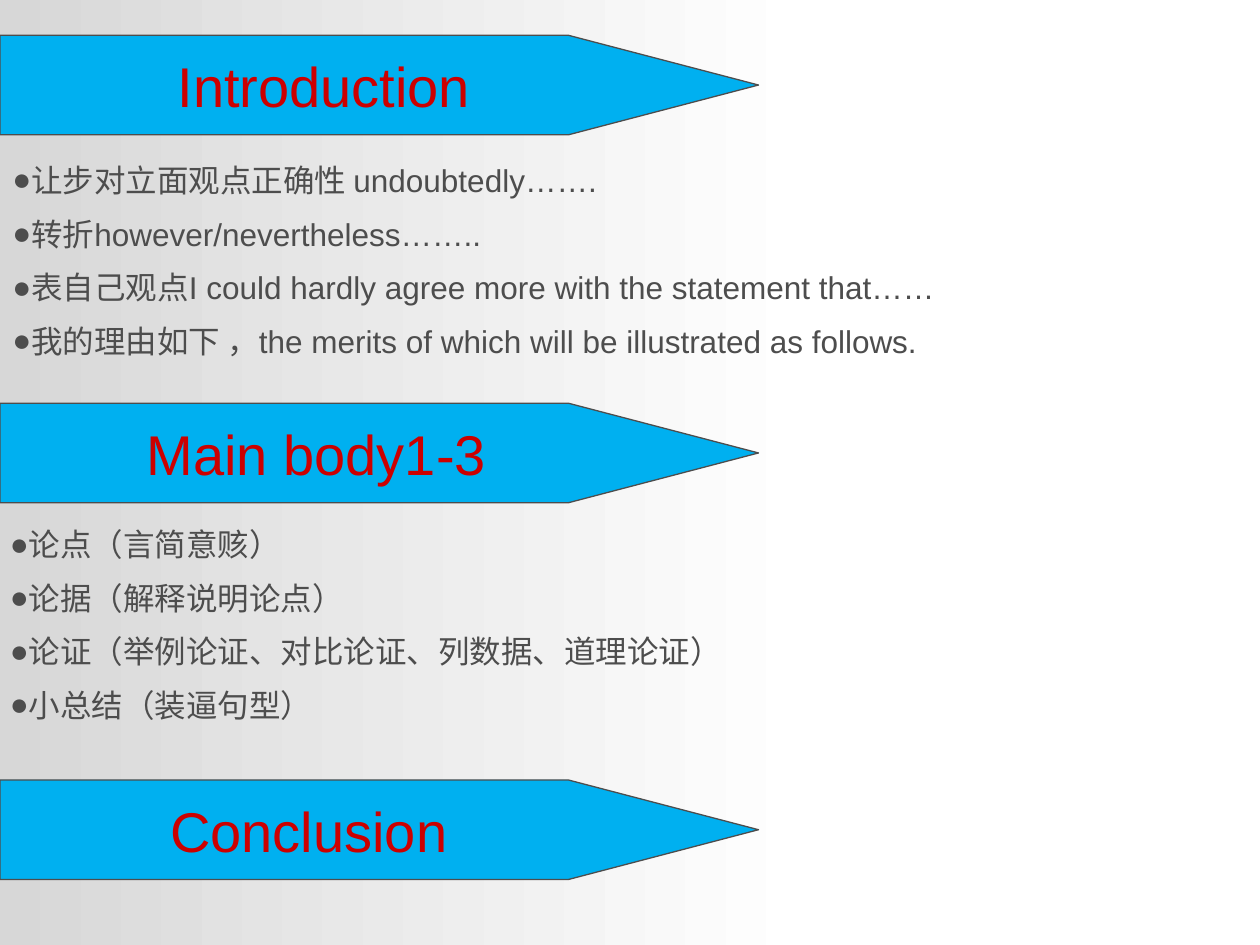
"""Build an essay outline slide with three banners and two bullet lists."""
from lxml import etree
from pptx import Presentation
from pptx.dml.color import RGBColor
from pptx.enum.shapes import MSO_SHAPE
from pptx.enum.text import MSO_ANCHOR, MSO_AUTO_SIZE, PP_ALIGN
from pptx.oxml.ns import qn
from pptx.util import Inches, Pt

RECT, PLATE = MSO_SHAPE.RECTANGLE, MSO_SHAPE.PENTAGON
MIDDLE, CENTER = MSO_ANCHOR.MIDDLE, PP_ALIGN.CENTER
GROW = MSO_AUTO_SIZE.SHAPE_TO_FIT_TEXT
WIDE, HIGH = 10, 7.5
FONT = "Arial"
HUES = {"sky": "00B0F0", "red": "CC0000", "ink": "4D4D4D",
        "mist": "D7D7D7", "white": "FFFFFF"}
HEADS = [("Introduction", 0.28, 0.22), ("Main body1-3", 3.2, 0.34),
         ("Conclusion", 6.19, 0.46)]
LISTS = [
    (0, 1.23, ["让步对立面观点正确性 undoubtedly…….",
               "转折however/nevertheless……..",
               "表自己观点I could hardly agree more with the statement that……",
               "我的理由如下 ，the merits of which will be illustrated as follows."]),
    (-0.02, 4.12, ["论点（言简意赅）",
                   "论据（解释说明论点）",
                   "论证（举例论证、对比论证、列数据、道理论证）",
                   "小总结（装逼句型）"]),
]


def hue(name):
    """Return the named colour."""
    return RGBColor.from_string(HUES[name])


def box(left, top, wide, high):
    """Return a frame given in inches as slide lengths."""
    return [Inches(n) for n in (left, top, wide, high)]


def style(para, size, name):
    """Format every run of a paragraph."""
    for run in para.runs:
        run.font.name = FONT
        run.font.size = Pt(size)
        run.font.color.rgb = hue(name)


def bullet(para):
    """Give a paragraph a round bullet and half a line of space before."""
    props = para._p.get_or_add_pPr()
    props.set("marL", "0")
    props.set("indent", "0")
    for outer, inner, key, value in (("a:spcBef", "a:spcPct", "val", "50000"),
                                     ("a:buClr", "a:srgbClr", "val", HUES["ink"])):
        node = etree.SubElement(props, qn(outer))
        etree.SubElement(node, qn(inner)).set(key, value)
    etree.SubElement(props, qn("a:buFont")).set("typeface", FONT)
    etree.SubElement(props, qn("a:buChar")).set("char", "●")


def shade(slide):
    """Cover the slide with a grey fade that ends in white."""
    shape = slide.shapes.add_shape(RECT, *box(0, 0, WIDE, HIGH))
    shape.shadow.inherit = False
    shape.line.fill.background()
    shape.fill.gradient()
    shape.fill.gradient_angle = 0
    for stop, place, name in zip(shape.fill.gradient_stops, (0, 0.64),
                                 ("mist", "white")):
        stop.position = place
        stop.color.rgb = hue(name)


def banner(slide, text, top, inset):
    """Draw a heading on an arrow plate, with the given right inset."""
    shape = slide.shapes.add_shape(PLATE, *box(0, top, 6.02, 0.79))
    shape.adjustments[0] = 1.91
    shape.shadow.inherit = False
    shape.fill.solid()
    shape.fill.fore_color.rgb = hue("sky")
    shape.line.color.rgb = hue("ink")
    shape.line.width = Pt(0.75)
    frame = shape.text_frame
    frame.text = text
    frame.word_wrap = False
    frame.vertical_anchor = MIDDLE
    frame.margin_right = Inches(inset)
    para = frame.paragraphs[0]
    para.alignment = CENTER
    style(para, 32, "red")


def points(slide, left, top, lines):
    """Write a bullet list."""
    frame = slide.shapes.add_textbox(*box(left, top, 7.84, 1.76)).text_frame
    frame.word_wrap = True
    frame.auto_size = GROW
    frame.text = "\n".join(lines)
    for para in frame.paragraphs:
        bullet(para)
        style(para, 18, "ink")


def main():
    """Build and save the slide."""
    deck = Presentation()
    deck.slide_width, deck.slide_height = Inches(WIDE), Inches(HIGH)
    slide = deck.slides.add_slide(deck.slide_layouts[6])
    shade(slide)
    for head in HEADS:
        banner(slide, *head)
    for group in LISTS:
        points(slide, *group)
    deck.save("out.pptx")


if __name__ == "__main__":
    main()
